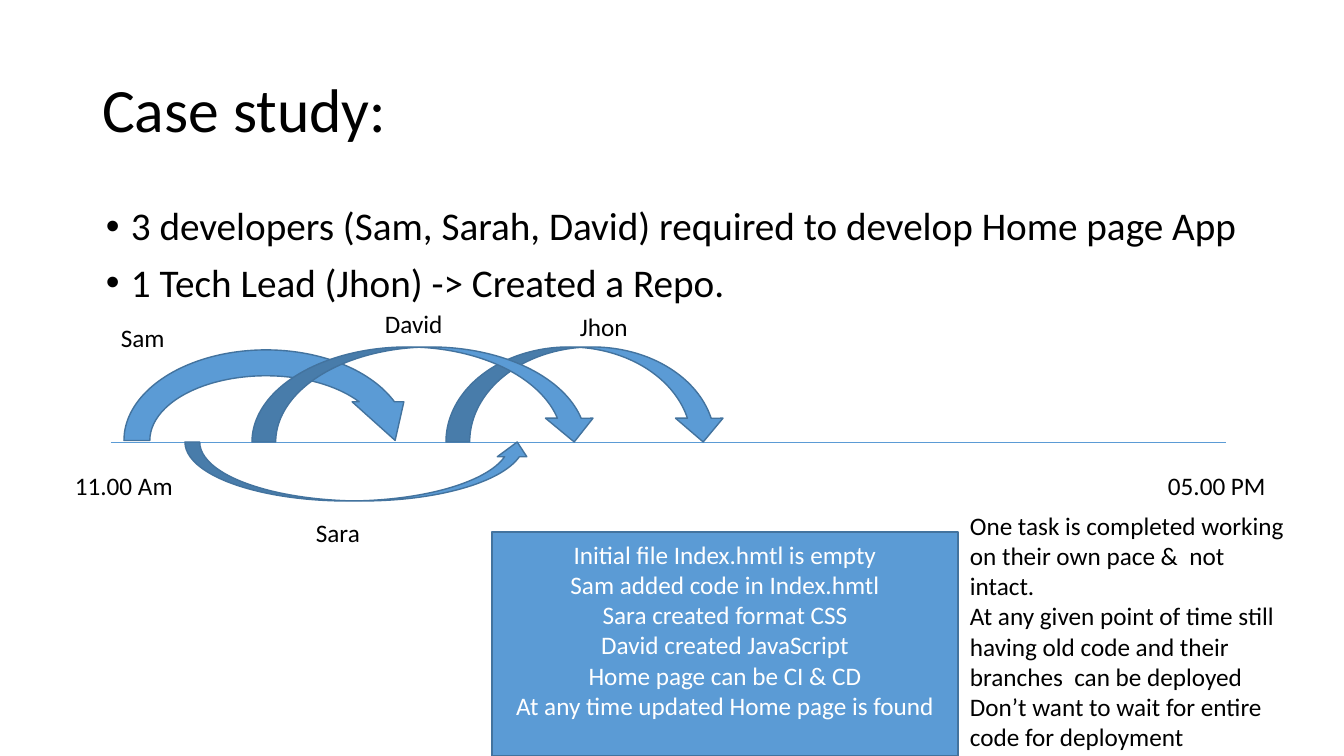
import pptx
import pptx.util
import pptx.dml.color
import pptx.enum.shapes
import pptx.enum.text
import pptx.oxml.ns
import lxml.etree

PIXEL = 9071  # EMU per pixel at 100.8 pixels to the inch
COLORS = {"text": "000000", "light": "FFFFFF", "blue": "5B9BD5", "outline": "43739E"}
PRESETS = pptx.enum.shapes.MSO_SHAPE
ALIGN = pptx.enum.text.PP_ALIGN
ANCHOR = pptx.enum.text.MSO_ANCHOR


def write_text(shape, lines, size=18, color="text", align=ALIGN.LEFT,
               anchor=ANCHOR.TOP, spacing=1.0, before=0, bullet_indent=0):
    """Fill a shape with one formatted paragraph per line."""
    frame = shape.text_frame
    frame.word_wrap = True
    frame.auto_size = pptx.enum.text.MSO_AUTO_SIZE.NONE
    frame.vertical_anchor = anchor
    for index, line in enumerate(lines):
        paragraph = frame.add_paragraph() if index else frame.paragraphs[0]
        paragraph.alignment = align
        paragraph.line_spacing = spacing
        paragraph.space_before = pptx.util.Pt(before)
        run = paragraph.add_run()
        run.text = line
        run.font.size = pptx.util.Pt(size)
        run.font.name = "Calibri"
        run.font.color.rgb = pptx.dml.color.RGBColor.from_string(COLORS[color])
        if bullet_indent:
            properties = paragraph._p.get_or_add_pPr()
            properties.set("marL", str(bullet_indent * PIXEL))
            properties.set("indent", str(-bullet_indent * PIXEL))
            font = lxml.etree.SubElement(properties, pptx.oxml.ns.qn("a:buFont"))
            font.set("typeface", "Arial")
            bullet = lxml.etree.SubElement(properties, pptx.oxml.ns.qn("a:buChar"))
            bullet.set("char", "•")


def add_blue_shape(preset, *box):
    """Add a blue outlined preset shape at a pixel box."""
    shape = slide.shapes.add_shape(preset, *[value * PIXEL for value in box])
    shape.shadow.inherit = False
    shape.fill.solid()
    shape.fill.fore_color.rgb = pptx.dml.color.RGBColor.from_string(COLORS["blue"])
    shape.line.color.rgb = pptx.dml.color.RGBColor.from_string(COLORS["outline"])
    shape.line.width = pptx.util.Pt(1)
    return shape


presentation = pptx.Presentation()
presentation.slide_width = 1344 * PIXEL
presentation.slide_height = 756 * PIXEL
slide = presentation.slides.add_slide(presentation.slide_layouts[5])

# Title and bullets
title = slide.shapes.title
title.left, title.top, title.width, title.height = [
    value * PIXEL for value in (92, 40, 1159, 146)]
write_text(title, ["Case study:"], size=44, anchor=ANCHOR.MIDDLE, spacing=0.9)

team = slide.shapes.add_textbox(*[value * PIXEL for value in (96, 202, 1159, 480)])
write_text(team, ["3 developers (Sam, Sarah, David) required to develop Home page App",
                  "1 Tech Lead (Jhon) -> Created a Repo."],
           size=28, spacing=0.9, before=10, bullet_indent=25)

# Timeline with one arrow per person
TIMELINE_Y = 442
timeline = slide.shapes.add_connector(
    pptx.enum.shapes.MSO_CONNECTOR.STRAIGHT,
    *[value * PIXEL for value in (111, TIMELINE_Y, 1226, TIMELINE_Y)])
timeline.line.color.rgb = pptx.dml.color.RGBColor.from_string(COLORS["blue"])
timeline.line.width = pptx.util.Pt(0.5)
lxml.etree.SubElement(timeline._element.spPr, pptx.oxml.ns.qn("a:effectLst"))

add_blue_shape(PRESETS.CIRCULAR_ARROW, 111, 337, 310, 207)
for left, width in ((446, 281), (252, 346)):
    add_blue_shape(PRESETS.CURVED_DOWN_ARROW, left, TIMELINE_Y - 95, width, 95)
add_blue_shape(PRESETS.CURVED_UP_ARROW, 185, TIMELINE_Y, 347, 59)

# Labels
for label, left, top, width in (
        ("11.00 Am", 65, 465, 134), ("05.00 PM", 1158, 465, 121),
        ("Sam", 111, 317, 117), ("Sara", 306, 512, 117),
        ("David", 375, 303, 117), ("Jhon", 570, 306, 117)):
    text_box = slide.shapes.add_textbox(*[value * PIXEL for value in (left, top, width, 40)])
    write_text(text_box, [label])

# Steps and outcome
steps = add_blue_shape(PRESETS.RECTANGLE, 492, 532, 466, 224)
steps.text_frame.margin_top = 7 * PIXEL
write_text(steps, ["Initial file Index.hmtl is empty", "Sam added code in Index.hmtl",
                   "Sara created format CSS", "David created JavaScript",
                   "Home page can be CI & CD", "At any time updated Home page is found"],
           color="light", align=ALIGN.CENTER)

outcome = slide.shapes.add_textbox(*[value * PIXEL for value in (960, 505, 338, 251)])
write_text(outcome, [
    "One task is completed working on their own pace &  not intact.",
    "At any given point of time still having old code and their branches  can be deployed",
    "Don’t want to wait for entire code for deployment"])

presentation.save("out.pptx")
